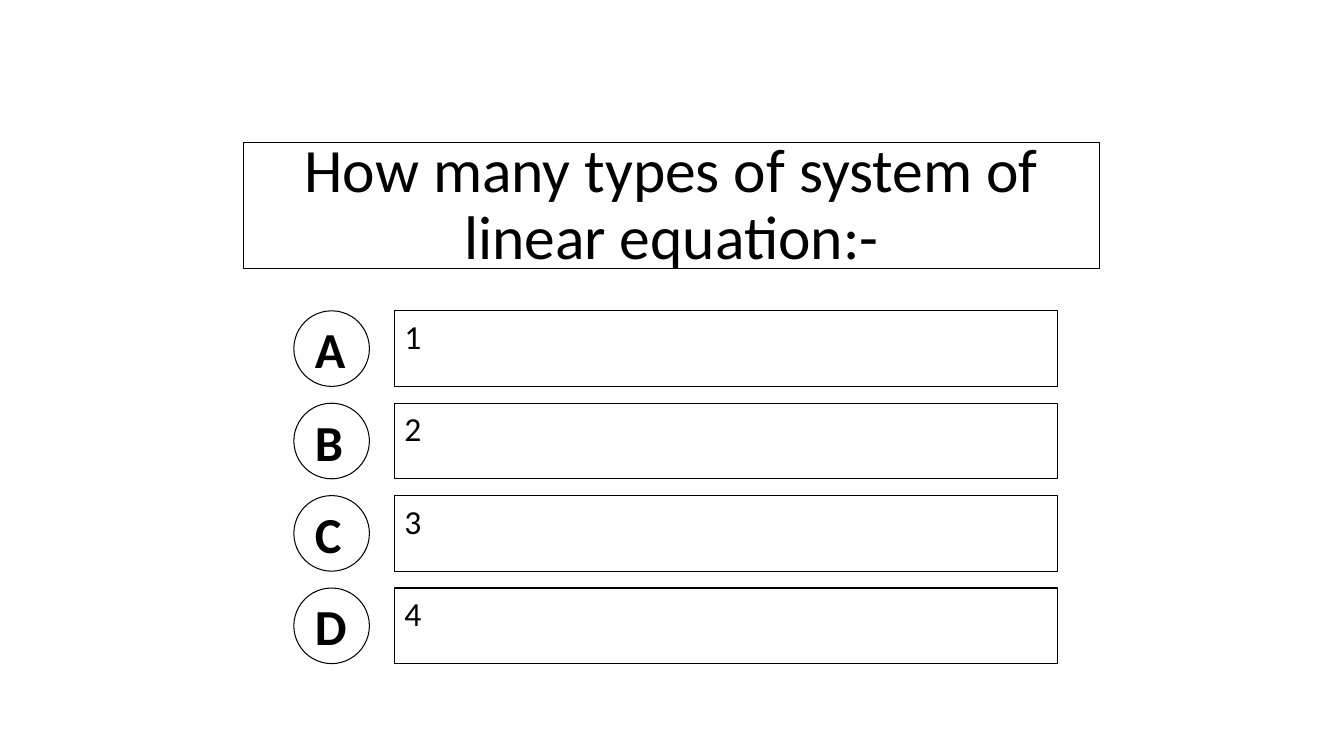
"""Build a multiple-choice quiz slide about systems of linear equations."""
from dataclasses import dataclass

from pptx import Presentation
from pptx.dml.color import RGBColor
from pptx.enum.shapes import MSO_SHAPE
from pptx.enum.text import MSO_ANCHOR, PP_ALIGN
from pptx.shapes.autoshape import Shape
from pptx.slide import Slide
from pptx.util import Pt

BLACK = RGBColor(0x00, 0x00, 0x00)
WHITE = RGBColor(0xFF, 0xFF, 0xFF)
FONT = "Calibri"
FIRST_TOP = 222
ROW_PITCH = 66
ROW_HEIGHT = 54


@dataclass(frozen=True)
class Option:
    """An answer option with its letter."""
    letter: str
    answer: str


@dataclass(frozen=True)
class Frame:
    """A place on the slide, in points."""
    left: float
    top: float
    width: float
    height: float


OPTIONS = [Option("A", "1"), Option("B", "2"), Option("C", "3"), Option("D", "4")]


def add_outlined(slide: Slide, kind: MSO_SHAPE, frame: Frame, text: str, size: float,
                 anchor: MSO_ANCHOR = MSO_ANCHOR.MIDDLE,
                 align: PP_ALIGN = PP_ALIGN.LEFT, bold: bool = False) -> Shape:
    """Add a black-outlined shape holding one line of text."""
    outlined = slide.shapes.add_shape(
        kind, Pt(frame.left), Pt(frame.top), Pt(frame.width), Pt(frame.height))
    outlined.shadow.inherit = False
    outlined.fill.background()
    outlined.line.color.rgb = BLACK
    outlined.line.width = Pt(0.75)
    content = outlined.text_frame
    content.text = text
    content.word_wrap = True
    content.vertical_anchor = anchor
    paragraph = content.paragraphs[0]
    paragraph.alignment = align
    font = paragraph.runs[0].font
    font.name = FONT
    font.size = Pt(size)
    font.bold = bold
    font.color.rgb = BLACK
    return outlined


def add_option(slide: Slide, option: Option, top: float) -> None:
    """Add a lettered circle and its answer box."""
    add_outlined(slide, MSO_SHAPE.OVAL, Frame(210, top, ROW_HEIGHT, ROW_HEIGHT),
                 option.letter, 36, bold=True)
    answer = add_outlined(slide, MSO_SHAPE.RECTANGLE, Frame(282, top, 474, ROW_HEIGHT),
                          option.answer, 24, anchor=MSO_ANCHOR.TOP)
    answer.fill.solid()
    answer.fill.fore_color.rgb = WHITE


def main() -> None:
    """Build and save the slide."""
    quiz = Presentation()
    quiz.slide_width = Pt(960.48)
    quiz.slide_height = Pt(540)
    slide = quiz.slides.add_slide(quiz.slide_layouts[6])
    question = add_outlined(slide, MSO_SHAPE.RECTANGLE, Frame(174, 102, 612, 90),
                            "How many types of system of linear equation:-", 44,
                            align=PP_ALIGN.CENTER)
    question.text_frame.paragraphs[0].line_spacing = 0.9
    for row, option in enumerate(OPTIONS):
        add_option(slide, option, FIRST_TOP + row * ROW_PITCH)
    quiz.save("out.pptx")


if __name__ == "__main__":
    main()
